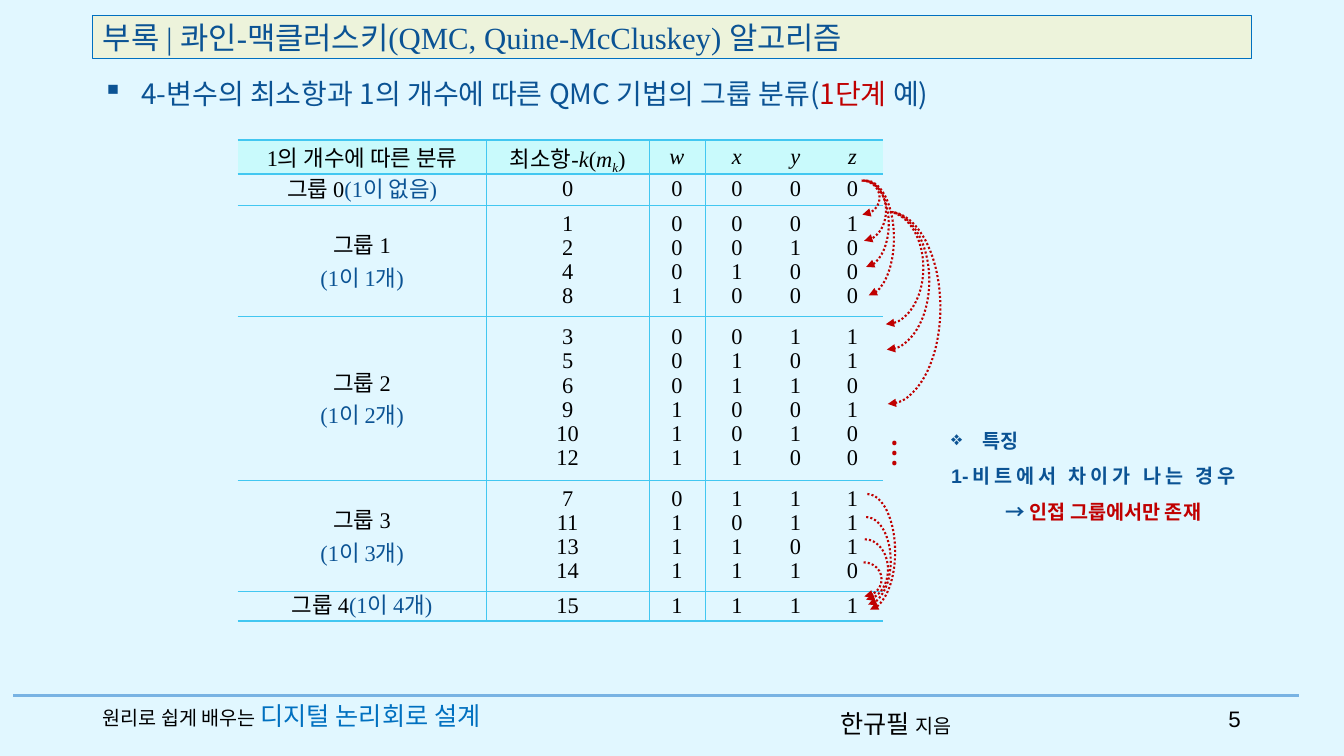
from lxml import etree
from pptx import Presentation
from pptx.dml.color import RGBColor
from pptx.enum.dml import MSO_LINE
from pptx.enum.shapes import MSO_CONNECTOR, MSO_SHAPE
from pptx.enum.text import MSO_ANCHOR, MSO_AUTO_SIZE, PP_ALIGN
from pptx.oxml.ns import qn
from pptx.util import Cm, Pt

DOTTED = MSO_LINE.ROUND_DOT
STRAIGHT = MSO_CONNECTOR.STRAIGHT
ARC, MIDDLE, NO_FIT = MSO_SHAPE.ARC, MSO_ANCHOR.MIDDLE, MSO_AUTO_SIZE.NONE
LEFT, CENTER, RIGHT, JUSTIFY = PP_ALIGN.LEFT, PP_ALIGN.CENTER, PP_ALIGN.RIGHT, PP_ALIGN.JUSTIFY

BACKGROUND = RGBColor(0xE1, 0xF7, 0xFF)
BLACK = RGBColor(0, 0, 0)
NAVY = RGBColor(0x0B, 0x53, 0x94)
BLUE = RGBColor(0x00, 0x70, 0xC0)
RED = RGBColor(0xC0, 0x00, 0x00)
CREAM = RGBColor(0xED, 0xF3, 0xDB)
FOOTER_BLUE = RGBColor(0x78, 0xB3, 0xE3)
HEADER_CYAN = RGBColor(0xC9, 0xFA, 0xFC)
BORDER_CYAN = RGBColor(0x42, 0xC7, 0xF1)
SANS, SERIF, ARIAL = "Noto Sans CJK KR", "Times New Roman", "Arial"


def add_run(paragraph, text, size, color=BLACK, font=SERIF, bold=False, italic=False):
    run = paragraph.add_run()
    run.text = text
    run.font.size, run.font.bold, run.font.italic = Pt(size), bold, italic
    run.font.color.rgb = color
    run.font.name = font
    etree.SubElement(run._r.get_or_add_rPr(), qn("a:ea"), typeface=SANS)
    return run


def add_text_frame(left, top, width, height):
    frame = slide.shapes.add_textbox(Cm(left), Cm(top), Cm(width), Cm(height)).text_frame
    frame.word_wrap = True
    return frame


prs = Presentation()
prs.slide_width, prs.slide_height = Cm(33.87), Cm(19.05)
slide = prs.slides.add_slide(prs.slide_layouts[5])
slide.background.fill.solid()
slide.background.fill.fore_color.rgb = BACKGROUND

# Footer
footer_rule = slide.shapes.add_connector(STRAIGHT, Cm(0.33), Cm(17.52), Cm(32.74), Cm(17.52))
footer_rule.line.color.rgb = FOOTER_BLUE
footer_rule.line.width = Pt(2.5)
etree.SubElement(footer_rule._element.spPr, qn("a:effectLst"))

author = add_text_frame(20.93, 17.73, 3.89, 1.02).paragraphs[0]
add_run(author, "한규필 ", 18, font=SANS)
add_run(author, "지음", 14, font=SANS)

page_number = add_text_frame(29.95, 17.65, 1.57, 1.02).paragraphs[0]
page_number.alignment = RIGHT
add_run(page_number, "5", 16, font=ARIAL)

book = add_text_frame(2.34, 17.53, 11.76, 1.02).paragraphs[0]
add_run(book, "원리로 쉽게 배우는 ", 14)
add_run(book, "디지털 논리회로 설계", 18, BLUE)

# Title and topic
title = slide.shapes.title
title.left, title.top, title.width, title.height = Cm(2.34), Cm(0.38), Cm(29.21), Cm(1.09)
title.fill.solid()
title.fill.fore_color.rgb = CREAM
title.line.color.rgb = BLUE
title.line.width = Pt(0.75)
title.text_frame.auto_size = NO_FIT
title.text_frame.vertical_anchor = MIDDLE
heading = title.text_frame.paragraphs[0]
heading.alignment = LEFT
add_run(heading, "부록 | 콰인-맥클러스키(QMC, Quine-McCluskey) 알고리즘", 22, NAVY)

topic = add_text_frame(2.34, 1.8, 29.46, 1.12).paragraphs[0]
add_run(topic, "4-변수의 최소항과 1의 개수에 따른 QMC 기법의 그룹 분류(", 20, NAVY, SANS)
add_run(topic, "1단계 ", 20, RED, SANS)
add_run(topic, "예)", 20, NAVY, SANS)

# Minterm table, grouped by the number of ones
COLUMN_WIDTHS = [6.27, 4.09, 1.42, 1.6, 1.35, 1.52]
ROW_HEIGHTS = [0.86, 0.77, 2.8, 4.13, 2.8, 0.77]
GROUP_NOTES = ["(1이 없음)", "(1이 1개)", "(1이 2개)", "(1이 3개)", "(1이 4개)"]
groups = [[m for m in range(16) if f"{m:b}".count("1") == ones] for ones in range(5)]

table = slide.shapes.add_table(6, 6, Cm(5.99), Cm(3.53), Cm(sum(COLUMN_WIDTHS)),
                               Cm(sum(ROW_HEIGHTS))).table
table.first_row = table.horz_banding = False
table._tbl.tblPr.find(qn("a:tableStyleId")).text = "{2D5ABB26-0587-4C30-8999-92F81FD0307C}"
for column, width in zip(table.columns, COLUMN_WIDTHS):
    column.width = Cm(width)
for row, height in zip(table.rows, ROW_HEIGHTS):
    row.height = Cm(height)

group_header = table.cell(0, 0).text_frame.paragraphs[0]
add_run(group_header, "1", 16)
add_run(group_header, "의 개수에 따른 분류", 16, font=SANS)
minterm_header = table.cell(0, 1).text_frame.paragraphs[0]
add_run(minterm_header, "최소항", 16, font=SANS)
for text, italic in [("-", False), ("k", True), ("(", False), ("m", True)]:
    add_run(minterm_header, text, 16, italic=italic)
subscript = add_run(minterm_header, "k", 16, italic=True)
subscript._r.get_or_add_rPr().set("baseline", "-25000")
add_run(minterm_header, ")", 16)
for header in (group_header, minterm_header):
    header.line_spacing = 0.92
for col, variable in enumerate("wxyz", start=2):
    add_run(table.cell(0, col).text_frame.paragraphs[0], variable, 16, italic=True)

for ones, minterms in enumerate(groups):
    label = table.cell(ones + 1, 0).text_frame
    add_run(label.paragraphs[0], "그룹 ", 16, font=SANS)
    add_run(label.paragraphs[0], str(ones), 16)
    if len(minterms) == 1:
        label.paragraphs[0].line_spacing = 0.8
        note = label.paragraphs[0]
    else:
        note = label.add_paragraph()
    add_run(note, GROUP_NOTES[ones], 16, NAVY)

    columns = [[str(m) for m in minterms]] + list(zip(*(f"{m:04b}" for m in minterms)))
    for col, values in enumerate(columns, start=1):
        frame = table.cell(ones + 1, col).text_frame
        for i, value in enumerate(values):
            paragraph = frame.add_paragraph() if i else frame.paragraphs[0]
            paragraph.line_spacing = 0.97
            add_run(paragraph, value, 16)

for r in range(6):
    for c in range(6):
        cell = table.cell(r, c)
        cell.vertical_anchor = MIDDLE
        cell.margin_left = cell.margin_right = Cm(0.15)
        cell.margin_top = cell.margin_bottom = Cm(0.05)
        for paragraph in cell.text_frame.paragraphs:
            paragraph.alignment = CENTER
        borders = {"a:lnL": 0.28 if c in (1, 2) else 0, "a:lnR": 0.28 if c < 2 else 0,
                   "a:lnT": 1.7 if r < 2 else 0.28, "a:lnB": 1.7 if r in (0, 5) else 0.28}
        for side, points in borders.items():
            if points:
                border = etree.SubElement(cell._tc.get_or_add_tcPr(), qn(side), w=str(Pt(points)))
                fill = etree.SubElement(border, qn("a:solidFill"))
                etree.SubElement(fill, qn("a:srgbClr"), val=str(BORDER_CYAN))
        if r == 0:
            cell.fill.solid()
            cell.fill.fore_color.rgb = HEADER_CYAN
        else:
            cell.fill.background()

# Feature note
feature_frame = add_text_frame(23.72, 10.39, 7.77, 2.84)
feature = feature_frame.paragraphs[0]
add_run(feature, "특징", 14, NAVY, ARIAL, bold=True)
adjacency = feature_frame.add_paragraph()
add_run(adjacency, "1-비트에서 차이가 나는 경우", 14, NAVY, ARIAL, bold=True)
adjacency.add_line_break()
add_run(adjacency, "→ ", 14, NAVY, ARIAL, bold=True)
add_run(adjacency, "인접 그룹에서만 존재", 14, RED, ARIAL, bold=True)
for paragraph in (feature, adjacency):
    paragraph.alignment = JUSTIFY
    paragraph.line_spacing = 1.5

for paragraph, bullet, indent in [(topic, "▪", 0.97), (feature, "❖", 0.79), (adjacency, None, 1.37)]:
    properties = paragraph._p.get_or_add_pPr()
    properties.set("marL", str(Cm(indent)))
    properties.set("indent", str(-Cm(indent)))
    if bullet:
        etree.SubElement(properties, qn("a:buChar"), char=bullet)

# Comparison arrows between neighbouring groups: left, top, width, height
ARROW_SETS = [
    ((162, 52.45), [(21.26, 4.55, 0.91, 0.86), (21.16, 4.55, 1.17, 1.52),
                    (21.16, 4.55, 1.24, 2.18), (21.13, 4.55, 1.4, 2.9)]),
    ((164.29, 54.09), [(21.39, 5.33, 1.88, 2.84), (21.29, 5.33, 2.13, 3.48),
                       (21.06, 5.33, 2.64, 4.85)]),
    ((162, 52.45), [(21.31, 14.17, 0.91, 0.86), (21.21, 13.59, 1.17, 1.52),
                    (21.21, 13.03, 1.24, 2.21), (21.16, 12.45, 1.4, 2.92)]),
]
for (start, end), boxes in ARROW_SETS:
    arrows = slide.shapes.add_group_shape()
    for box in boxes:
        arrow = arrows.shapes.add_shape(ARC, *(Cm(length) for length in box))
        arrow.adjustments[0], arrow.adjustments[1] = start, end
        arrow.shadow.inherit = False
        arrow.fill.background()
        arrow.line.color.rgb = RED
        arrow.line.width = Pt(1.5)
        arrow.line.dash_style = DOTTED
        etree.SubElement(arrow.line._get_or_add_ln(), qn("a:tailEnd"), type="triangle")

continuation = add_text_frame(22.17, 10.77, 0.89, 1.27).paragraphs[0]
add_run(continuation, "⁝", 24, RED)

prs.save("out.pptx")
